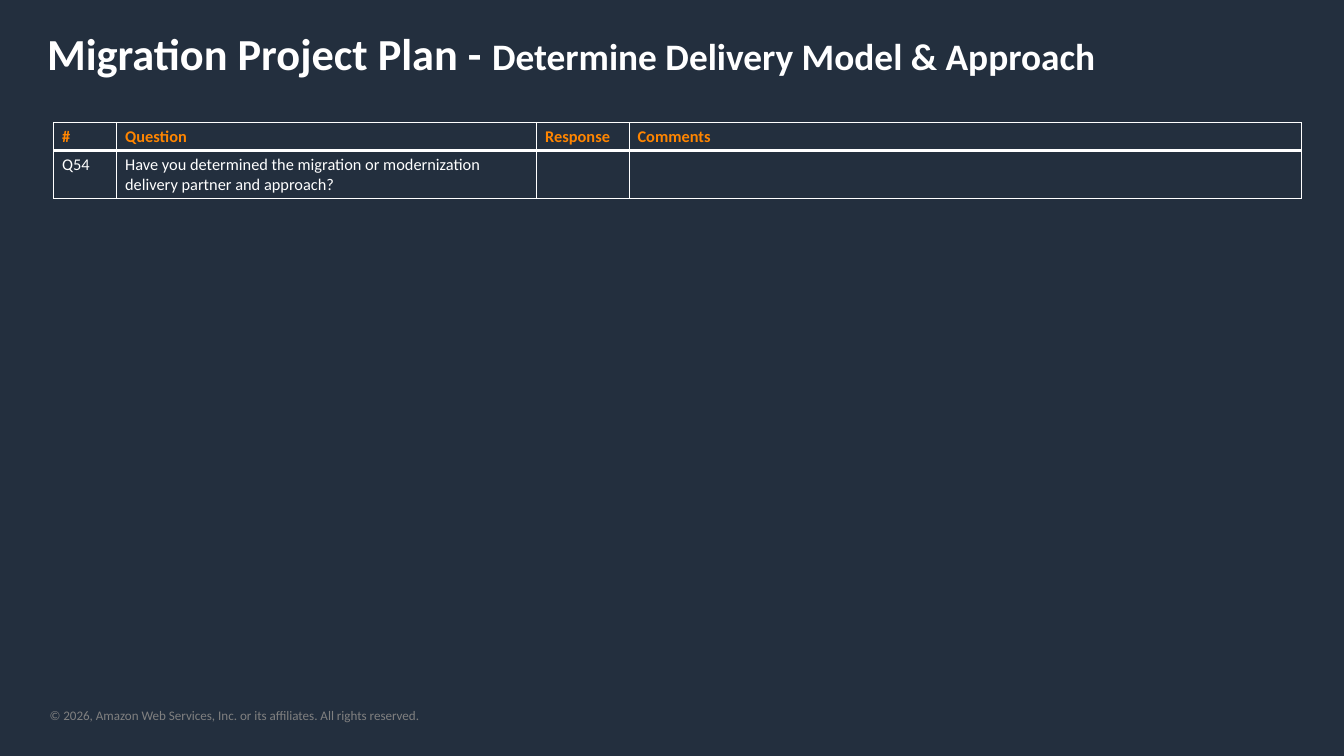
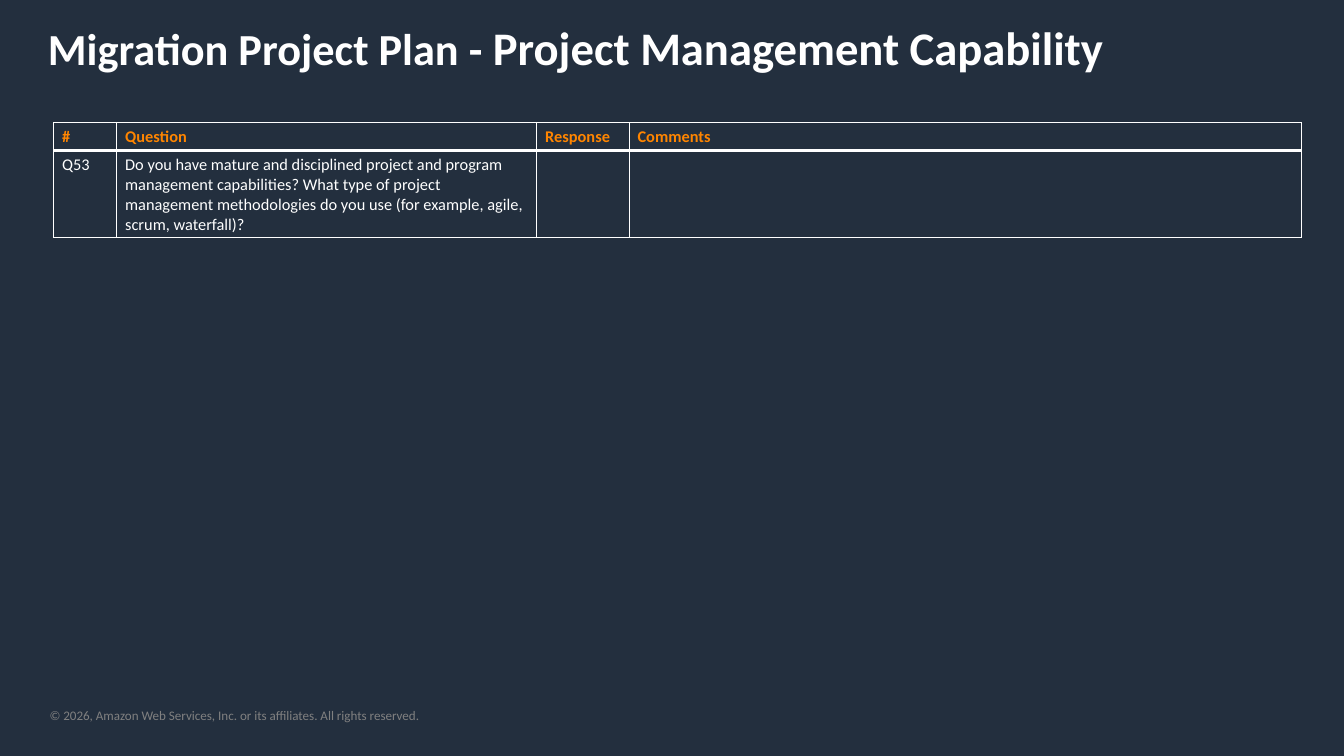
import pptx
import pptx.dml.color
import pptx.enum.text
import pptx.oxml
import pptx.oxml.ns
import pptx.util
from pptx.util import Inches

COLORS = {
    "background": "232F3E",
    "text": "FFFFFF",
    "accent": "FF8500",
    "footer": "808080",
}
FONT = "Calibri"
TITLE_PREFIX = "Migration Project Plan - "
FOOTER = "© 2026, Amazon Web Services, Inc. or its affiliates. All rights reserved."
HEADERS = ["#", "Question", "Response", "Comments"]
COLUMN_WIDTHS = [0.75, 5, 1.1, 8]
ROW_HEIGHT = 0.28
THIN, THICK = 1, 3

SLIDES = [
    {
        "topic": "Determine Delivery Model & Approach",
        "topic_size": 32,
        "title_box": (0.46, 0.26, 15.33, 0.74),
        "questions": [
            ("Q54", "Have you determined the migration or modernization "
                    "delivery partner and approach?"),
        ],
    },
    {
        "topic": "Project Management Capability",
        "topic_size": 40,
        "title_box": (0.47, 0.17, 15.26, 0.77),
        "questions": [
            ("Q53", "Do you have mature and disciplined project and program "
                    "management capabilities? What type of project management "
                    "methodologies do you use (for example, agile, scrum, waterfall)?"),
        ],
    },
]


def rgb(name):
    return pptx.dml.color.RGBColor.from_string(COLORS[name])


def add_text(paragraph, text, size=14, color="text", bold=False):
    run = paragraph.add_run()
    run.text = text
    run.font.name = FONT
    run.font.size = pptx.util.Pt(size)
    run.font.bold = bold
    run.font.color.rgb = rgb(color)


def set_borders(cell, **widths):
    """Draw cell borders; widths are points keyed by side, in the order L, R, T, B."""
    properties = cell._tc.get_or_add_tcPr()
    for side, width in widths.items():
        properties.append(pptx.oxml.parse_xml(
            f'<a:ln{side} {pptx.oxml.ns.nsdecls("a")} w="{pptx.util.Pt(width)}">'
            f'<a:solidFill><a:srgbClr val="{COLORS["text"]}"/></a:solidFill>'
            f'</a:ln{side}>'))


class Deck:
    def __init__(self):
        self.presentation = pptx.Presentation()
        self.presentation.slide_width = Inches(16)
        self.presentation.slide_height = Inches(9)
        background = self.presentation.slide_master.background.fill
        background.solid()
        background.fore_color.rgb = rgb("background")
        self.slide = None

    def add_slide(self):
        layout = self.presentation.slide_layouts.get_by_name("Title Only")
        self.slide = self.presentation.slides.add_slide(layout)

    def add_title(self, topic, topic_size, box):
        title = self.slide.shapes.title
        title.left, title.top, title.width, title.height = map(Inches, box)
        frame = title.text_frame
        frame.word_wrap = True
        frame.auto_size = pptx.enum.text.MSO_AUTO_SIZE.SHAPE_TO_FIT_TEXT
        frame.vertical_anchor = pptx.enum.text.MSO_ANCHOR.TOP
        paragraph = frame.paragraphs[0]
        paragraph.alignment = pptx.enum.text.PP_ALIGN.LEFT
        add_text(paragraph, TITLE_PREFIX, size=38, bold=True)
        add_text(paragraph, topic, size=topic_size, bold=True)

    def add_footer(self):
        box = self.slide.shapes.add_textbox(
            Inches(0.59), Inches(8.42), Inches(7.78), Inches(0.19))
        frame = box.text_frame
        frame.word_wrap = True
        frame.auto_size = pptx.enum.text.MSO_AUTO_SIZE.SHAPE_TO_FIT_TEXT
        frame.margin_left = frame.margin_right = 0
        frame.margin_top = frame.margin_bottom = 0
        add_text(frame.paragraphs[0], FOOTER, size=11.2, color="footer")

    def add_question_table(self, questions):
        rows = [HEADERS] + [[number, question, "", ""] for number, question in questions]
        table = self.slide.shapes.add_table(
            len(rows), len(HEADERS), Inches(0.64), Inches(1.46),
            Inches(sum(COLUMN_WIDTHS)), Inches(ROW_HEIGHT * len(rows))).table
        table.horz_banding = False
        for column, width in zip(table.columns, COLUMN_WIDTHS):
            column.width = Inches(width)
        for row_index, values in enumerate(rows):
            is_header = row_index == 0
            top = THICK if row_index == 1 else THIN
            bottom = THICK if is_header else THIN
            for column_index, value in enumerate(values):
                cell = table.cell(row_index, column_index)
                set_borders(cell, L=THIN, R=THIN, T=top, B=bottom)
                cell.fill.background()
                if value:
                    add_text(cell.text_frame.paragraphs[0], value, bold=is_header,
                             color="accent" if is_header else "text")


def main():
    deck = Deck()
    for content in SLIDES:
        deck.add_slide()
        deck.add_footer()
        deck.add_title(content["topic"], content["topic_size"], content["title_box"])
        deck.add_question_table(content["questions"])
    deck.presentation.save("out.pptx")


if __name__ == "__main__":
    main()
